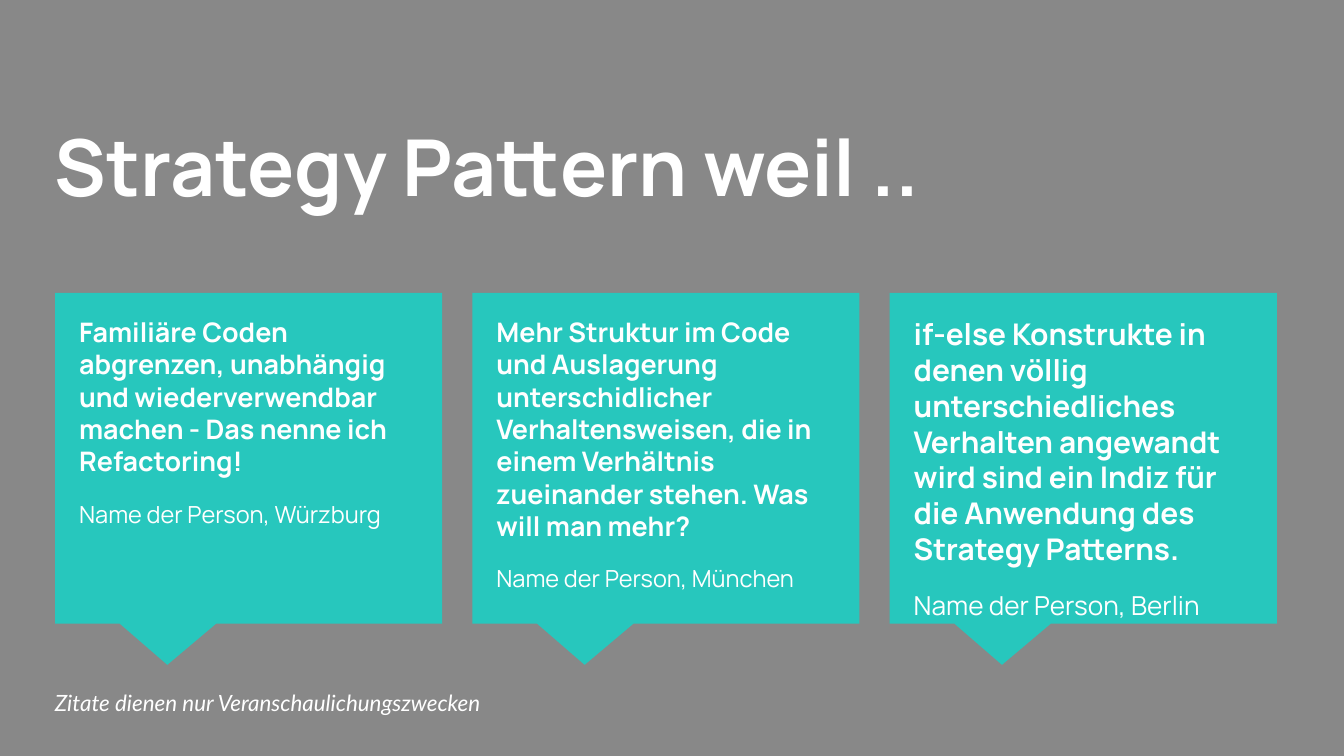
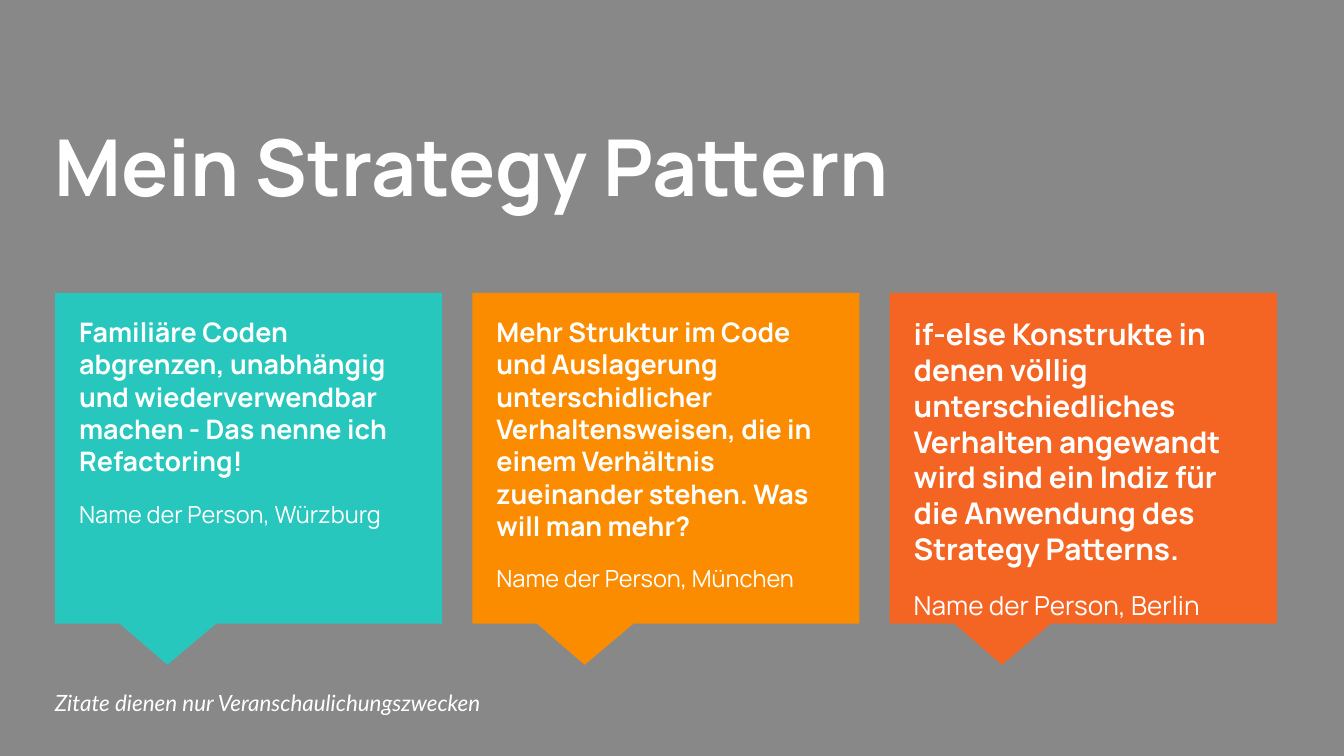
from dataclasses import dataclass

from pptx import Presentation
from pptx.dml.color import RGBColor
from pptx.enum.shapes import MSO_SHAPE
from pptx.enum.text import MSO_ANCHOR
from pptx.slide import Slide
from pptx.util import Emu, Pt

COLORS = {
    "background": "888888",
    "text": "FFFFFF",
    "teal": "27C7BD",
    "amber": "FB8C00",
    "orange": "F46524",
}
HEADING_FONT = "Manrope"
NOTE_FONT = "Lato"

# Lengths are px, 200 to the inch
EMU_PER_PX = 4572
SLIDE_WIDTH, SLIDE_HEIGHT = 2000, 1125
TEXT_INSET = 20
BUBBLE_LEFT, BUBBLE_TOP, BUBBLE_PITCH = 82, 436, 621
BUBBLE_WIDTH, BUBBLE_HEIGHT = 576, 492
QUOTE_DX, QUOTE_DY, QUOTE_WIDTH = 16, 14, 542


@dataclass(frozen=True)
class Line:
    text: str
    size: float
    font: str = HEADING_FONT
    bold: bool = False
    italic: bool = False
    gap: int = 0


@dataclass(frozen=True)
class Quote:
    text: str
    author: str
    text_size: float = 14.4
    author_size: float = 12.6
    height: int = 438


@dataclass(frozen=True)
class QuoteSlide:
    title: str
    bubble_colors: tuple[str, ...]


QUOTES = (
    Quote(
        "Familiäre Coden abgrenzen, unabhängig und wiederverwendbar machen"
        " - Das nenne ich Refactoring!",
        "Name der Person, Würzburg",
    ),
    Quote(
        "Mehr Struktur im Code und Auslagerung unterschidlicher"
        " Verhaltensweisen, die in einem Verhältnis zueinander stehen."
        " Was will man mehr?",
        "Name der Person, München",
    ),
    Quote(
        "if-else Konstrukte in denen völlig unterschiedliches Verhalten"
        " angewandt wird sind ein Indiz für die Anwendung des"
        " Strategy Patterns.",
        "Name der Person, Berlin",
        text_size=16,
        author_size=14,
        height=530,
    ),
)
NOTE = "Zitate dienen nur Veranschaulichungszwecken"
SLIDES = (
    QuoteSlide("Strategy Pattern weil ..", ("teal", "teal", "teal")),
    QuoteSlide("Mein Strategy Pattern", ("teal", "amber", "orange")),
)


def px(length: int) -> Emu:
    return Emu(length * EMU_PER_PX)


def rgb(name: str) -> RGBColor:
    return RGBColor.from_string(COLORS[name])


def add_text(slide: Slide, left: int, top: int, width: int, height: int,
             lines: tuple[Line, ...], anchor: MSO_ANCHOR = MSO_ANCHOR.TOP) -> None:
    box = slide.shapes.add_textbox(px(left), px(top), px(width), px(height))
    frame = box.text_frame
    frame.word_wrap = True
    frame.vertical_anchor = anchor
    frame.margin_left = frame.margin_right = px(TEXT_INSET)
    frame.margin_top = frame.margin_bottom = px(TEXT_INSET)
    for index, line in enumerate(lines):
        paragraph = frame.add_paragraph() if index else frame.paragraphs[0]
        paragraph.space_before = paragraph.space_after = Pt(line.gap)
        run = paragraph.add_run()
        run.text = line.text
        run.font.name = line.font
        run.font.size = Pt(line.size)
        run.font.bold = line.bold
        run.font.italic = line.italic
        run.font.color.rgb = rgb("text")


def add_bubble(slide: Slide, left: int, color: str) -> None:
    bubble = slide.shapes.add_shape(
        MSO_SHAPE.RECTANGULAR_CALLOUT,
        px(left), px(BUBBLE_TOP), px(BUBBLE_WIDTH), px(BUBBLE_HEIGHT))
    bubble.adjustments[0] = -0.21
    bubble.adjustments[1] = 0.625
    bubble.shadow.inherit = False
    bubble.fill.solid()
    bubble.fill.fore_color.rgb = rgb(color)
    bubble.line.fill.background()


def add_quote(slide: Slide, left: int, quote: Quote) -> None:
    add_text(slide, left + QUOTE_DX, BUBBLE_TOP + QUOTE_DY, QUOTE_WIDTH, quote.height, (
        Line(quote.text, quote.text_size, bold=True),
        Line(quote.author, quote.author_size, gap=12),
    ))


def add_quote_slide(deck: Presentation, content: QuoteSlide) -> None:
    slide = deck.slides.add_slide(deck.slide_layouts[6])
    slide.background.fill.solid()
    slide.background.fill.fore_color.rgb = rgb("background")

    # Title
    add_text(slide, 62, 156, 1886, 224, (Line(content.title, 42, bold=True),))

    # Speech bubbles with quotes
    for column, (quote, color) in enumerate(zip(QUOTES, content.bubble_colors)):
        left = BUBBLE_LEFT + column * BUBBLE_PITCH
        add_bubble(slide, left, color)
        add_quote(slide, left, quote)

    # Note below the bubbles
    add_text(slide, 62, 1018, 1366, 56,
             (Line(NOTE, 12, font=NOTE_FONT, italic=True),), MSO_ANCHOR.MIDDLE)


def main() -> None:
    deck = Presentation()
    deck.slide_width, deck.slide_height = px(SLIDE_WIDTH), px(SLIDE_HEIGHT)
    for content in SLIDES:
        add_quote_slide(deck, content)
    deck.save("out.pptx")


if __name__ == "__main__":
    main()
